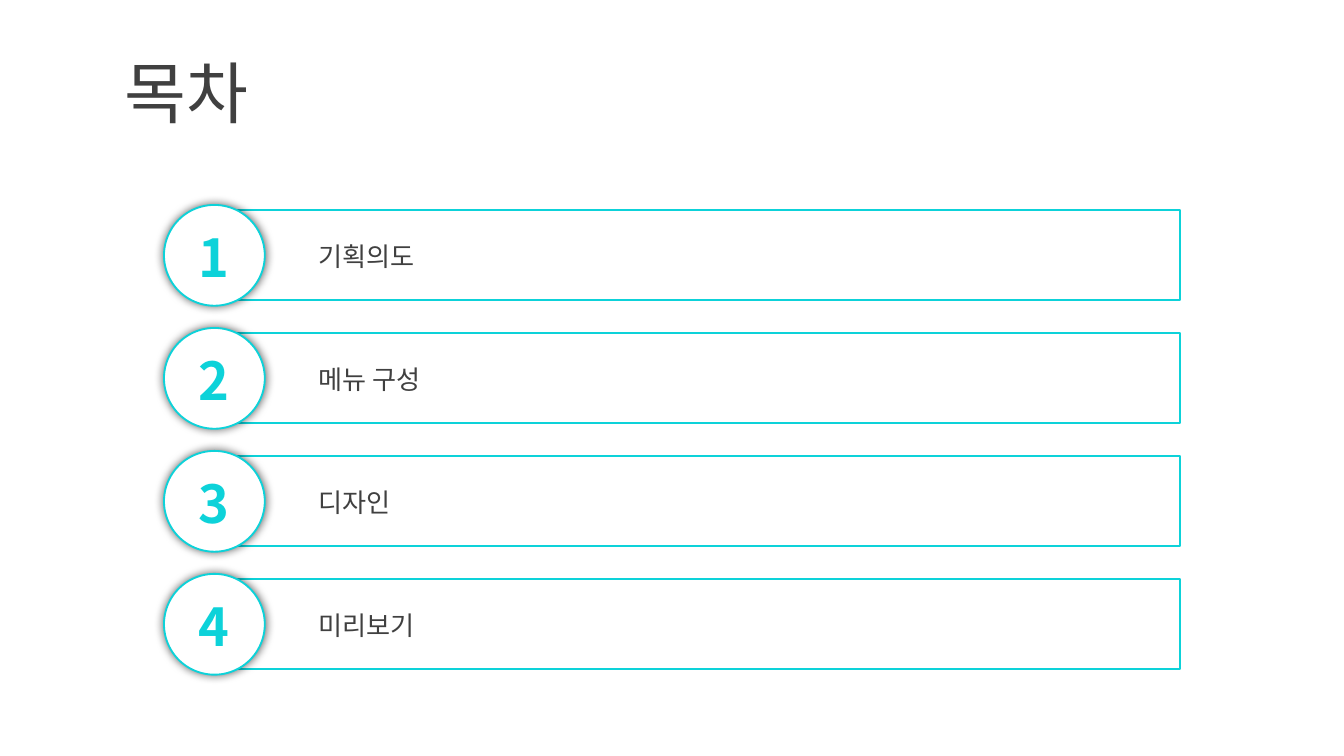
from dataclasses import dataclass

from lxml import etree
from pptx import Presentation
from pptx.dml.color import RGBColor
from pptx.enum.shapes import MSO_SHAPE
from pptx.enum.text import MSO_ANCHOR, MSO_AUTO_SIZE, PP_ALIGN
from pptx.oxml.ns import qn
from pptx.shapes.autoshape import Shape
from pptx.slide import Slide
from pptx.util import Inches, Pt

RECTANGLE = MSO_SHAPE.RECTANGLE
OVAL = MSO_SHAPE.OVAL
MIDDLE = MSO_ANCHOR.MIDDLE
LEFT = PP_ALIGN.LEFT
CENTER = PP_ALIGN.CENTER
FIT_SHAPE = MSO_AUTO_SIZE.SHAPE_TO_FIT_TEXT
NO_FIT = MSO_AUTO_SIZE.NONE

FONT = "Noto Sans CJK KR"
CYAN = RGBColor(0x0D, 0xD2, 0xD9)
DARK = RGBColor(0x40, 0x40, 0x40)
WHITE = RGBColor(0xFF, 0xFF, 0xFF)

ENTRIES = ("기획의도", "메뉴 구성", "디자인", "미리보기")
LAST_TOP = 4.31
PITCH = 1.83 / 2
FIRST_TOP = LAST_TOP - PITCH * (len(ENTRIES) - 1)


@dataclass(frozen=True)
class Area:
    left: float
    top: float
    width: float
    height: float

    def lengths(self) -> tuple[int, ...]:
        return tuple(Inches(v) for v in (self.left, self.top, self.width, self.height))


@dataclass(frozen=True)
class TextStyle:
    size: int
    color: RGBColor
    bold: bool = False
    align: PP_ALIGN = LEFT
    fit: MSO_AUTO_SIZE = FIT_SHAPE


TITLE_STYLE = TextStyle(36, DARK, fit=NO_FIT)
LABEL_STYLE = TextStyle(14, DARK)
NUMBER_STYLE = TextStyle(28, CYAN, bold=True, align=CENTER)


def add_text(page: Slide, area: Area, text: str, style: TextStyle) -> None:
    box = page.shapes.add_textbox(*area.lengths())
    frame = box.text_frame
    frame.word_wrap = True
    frame.auto_size = style.fit
    frame.vertical_anchor = MIDDLE
    para = frame.paragraphs[0]
    para.text = text
    para.alignment = style.align
    font = para.font
    font.size = Pt(style.size)
    font.bold = style.bold
    font.color.rgb = style.color
    font.name = FONT
    # Hangul takes the East Asian typeface
    defaults = para._p.pPr.find(qn("a:defRPr"))
    etree.SubElement(defaults, qn("a:ea"), typeface=FONT)


def add_outlined(page: Slide, kind: MSO_SHAPE, area: Area) -> Shape:
    shape = page.shapes.add_shape(kind, *area.lengths())
    shape.shadow.inherit = False
    shape.fill.background()
    shape.line.color.rgb = CYAN
    shape.line.width = Pt(1)
    return shape


def add_glow_shadow(shape: Shape) -> None:
    effects = shape._element.spPr.find(qn("a:effectLst"))
    shadow = etree.SubElement(
        effects, qn("a:outerShdw"), blurRad=str(Pt(5)), dist="0", dir="0",
        algn="ctr", rotWithShape="0")
    color = etree.SubElement(shadow, qn("a:srgbClr"), val="000000")
    etree.SubElement(color, qn("a:alpha"), val="60000")


def add_entry(page: Slide, number: int, label: str, top: float) -> None:
    add_outlined(page, RECTANGLE, Area(1.59, top, 7.19, 0.67))
    add_text(page, Area(2.27, top + 0.17, 6.28, 0.34), label, LABEL_STYLE)
    circle = add_outlined(page, OVAL, Area(1.22, top - 0.04, 0.75, 0.75))
    circle.fill.solid()
    circle.fill.fore_color.rgb = WHITE
    add_glow_shadow(circle)
    add_text(page, Area(1.36, top + 0.06, 0.47, 0.57), str(number), NUMBER_STYLE)


def main() -> None:
    deck = Presentation()
    # Widescreen 16:9
    deck.slide_width = Inches(10)
    deck.slide_height = deck.slide_width * 9 // 16
    page = deck.slides.add_slide(deck.slide_layouts[6])

    # Title
    add_text(page, Area(0.83, 0.37, 9.17, 0.63), "목차", TITLE_STYLE)

    # Contents list
    for index, label in enumerate(ENTRIES):
        add_entry(page, index + 1, label, FIRST_TOP + index * PITCH)

    deck.save("out.pptx")


if __name__ == "__main__":
    main()
